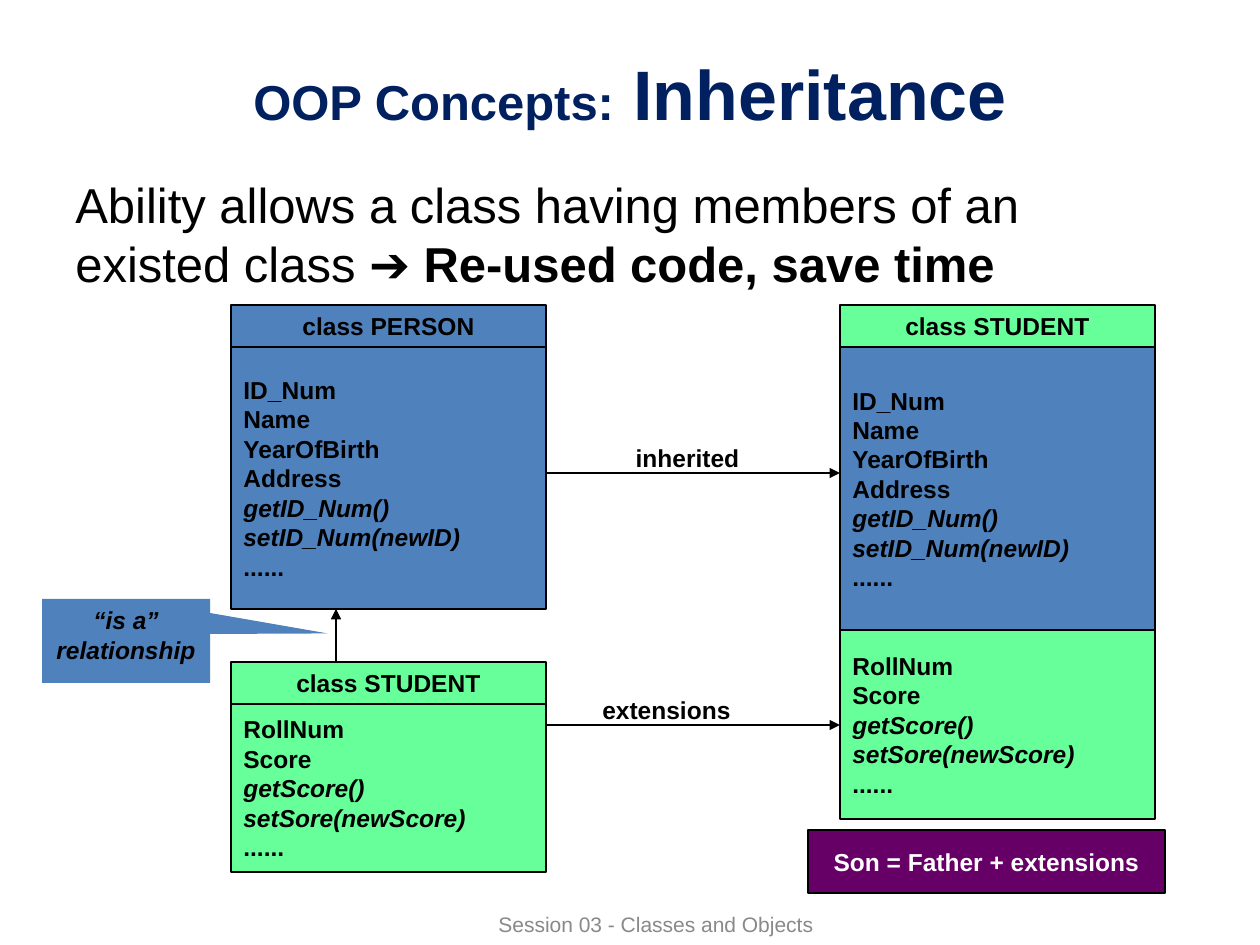
import pptx
import pptx.util
import pptx.dml.color
import pptx.enum.shapes
import pptx.enum.text
import pptx.oxml.ns
from lxml import etree

RGB = pptx.dml.color.RGBColor
SHAPE = pptx.enum.shapes.MSO_SHAPE
ALIGN = pptx.enum.text.PP_ALIGN
ANCHOR = pptx.enum.text.MSO_ANCHOR

NAVY = RGB(0x00, 0x20, 0x60)
BLACK = RGB(0x00, 0x00, 0x00)
WHITE = RGB(0xFF, 0xFF, 0xFF)
GREY = RGB(0x89, 0x89, 0x89)
BLUE = RGB(0x4F, 0x81, 0xBD)
GREEN = RGB(0x66, 0xFF, 0x99)
PURPLE = RGB(0x66, 0x00, 0x66)

# Content: a run is (text, format), a line is a string or a list of runs
TITLE = [("OOP Concepts:", {}), (" Inheritance", {"size": 40})]
BODY = [("Ability allows a class having members of an existed class ➔ ", {}),
        ("Re-used code, save time", {"bold": True})]
FOOTER = "Session 03 - Classes and Objects"
PERSON = ["ID_Num", "Name", "YearOfBirth", "Address",
          "getID_Num()", "setID_Num(newID)", "......"]
EXTRA = ["RollNum", "Score", "getScore()", "setSore(newScore)", "......"]

# Classes: left, top, name, head fill, parts of (members, fill, height)
CLASSES = [
    (231, 305, "class PERSON", BLUE, [(PERSON, BLUE, 262)]),
    (231, 662, "class STUDENT", GREEN, [(EXTRA, GREEN, 168)]),
    (840, 305, "class STUDENT", GREEN,
     [(PERSON, BLUE, 283), (EXTRA, GREEN, 189)]),
]
WIDE, HEAD = 315, 42

# Arrows: start, end
ARROWS = [((336, 662), (336, 609)),
          ((546, 473), (840, 473)),
          ((546, 725), (840, 725))]
LABELS = [("inherited", (619, 389, 137, 137)),
          ("extensions", (577, 641, 179, 137))]


def px(n):
    return pptx.util.Emu(round(n * 914400 / 126))


def write(shape, lines, size=14, color=BLACK, bold=True, italic=False,
          align=ALIGN.CENTER, anchor=ANCHOR.MIDDLE):
    frame = shape.text_frame
    frame.word_wrap = True
    frame.vertical_anchor = anchor
    for i, line in enumerate(lines):
        para = frame.paragraphs[0] if i == 0 else frame.add_paragraph()
        para.alignment = align
        for text, form in [(line, {})] if isinstance(line, str) else line:
            run = para.add_run()
            run.text = text
            font = run.font
            font.name = "Arial"
            font.size = pptx.util.Pt(form.get("size", size))
            font.bold = form.get("bold", bold)
            font.italic = italic or text.endswith("()") or text.endswith(")")
            font.color.rgb = color


def text(slide, place, lines, **form):
    box = slide.shapes.add_textbox(*map(px, place))
    write(box, lines, **form)


def block(slide, place, lines, fill, kind=SHAPE.RECTANGLE, edge=True, **form):
    shape = slide.shapes.add_shape(kind, *map(px, place))
    shape.shadow.inherit = False
    shape.fill.solid()
    shape.fill.fore_color.rgb = fill
    if edge:
        shape.line.color.rgb = BLACK
        shape.line.width = pptx.util.Pt(0.75)
    else:
        shape.line.fill.background()
    write(shape, lines, **form)
    return shape


def arrow(slide, start, end):
    link = slide.shapes.add_connector(
        pptx.enum.shapes.MSO_CONNECTOR.STRAIGHT, *map(px, start + end))
    link.line.color.rgb = BLACK
    link.line.width = pptx.util.Pt(0.75)
    name = pptx.oxml.ns.qn
    tip = etree.SubElement(link.line._get_or_add_ln(), name("a:tailEnd"))
    tip.set("type", "triangle")
    etree.SubElement(link._element.spPr, name("a:effectLst"))


def main():
    deck = pptx.Presentation()
    deck.slide_width, deck.slide_height = px(1260), px(945)
    slide = deck.slides.add_slide(deck.slide_layouts[6])

    # Footer, title and body
    text(slide, (357, 903, 598, 42), [FOOTER], size=12, color=GREY, bold=False)
    text(slide, (63, 38, 1134, 110), [TITLE], size=28, color=NAVY)
    text(slide, (63, 168, 1134, 147), [BODY], size=28, bold=False,
         align=ALIGN.LEFT, anchor=ANCHOR.TOP)

    # Class boxes: members stacked below the name
    for left, top, name, fill, parts in CLASSES:
        y = top + HEAD
        for lines, shade, high in parts:
            block(slide, (left, y, WIDE, high), lines, shade, align=ALIGN.LEFT)
            y += high
        block(slide, (left, top, WIDE, HEAD), [name], fill)

    # Arrows and their labels
    for start, end in ARROWS:
        arrow(slide, start, end)
    for label, place in LABELS:
        text(slide, place, [label])

    # Callout and summary
    note = block(slide, (42, 599, 168, 84), ["“is a” relationship"], BLUE,
                 kind=SHAPE.RECTANGULAR_CALLOUT, edge=False, italic=True,
                 anchor=ANCHOR.TOP)
    note.adjustments[0], note.adjustments[1] = 1.2, -0.09
    block(slide, (808, 830, 357, 63), ["Son = Father + extensions"], PURPLE,
          color=WHITE)

    deck.save("out.pptx")


if __name__ == "__main__":
    main()
